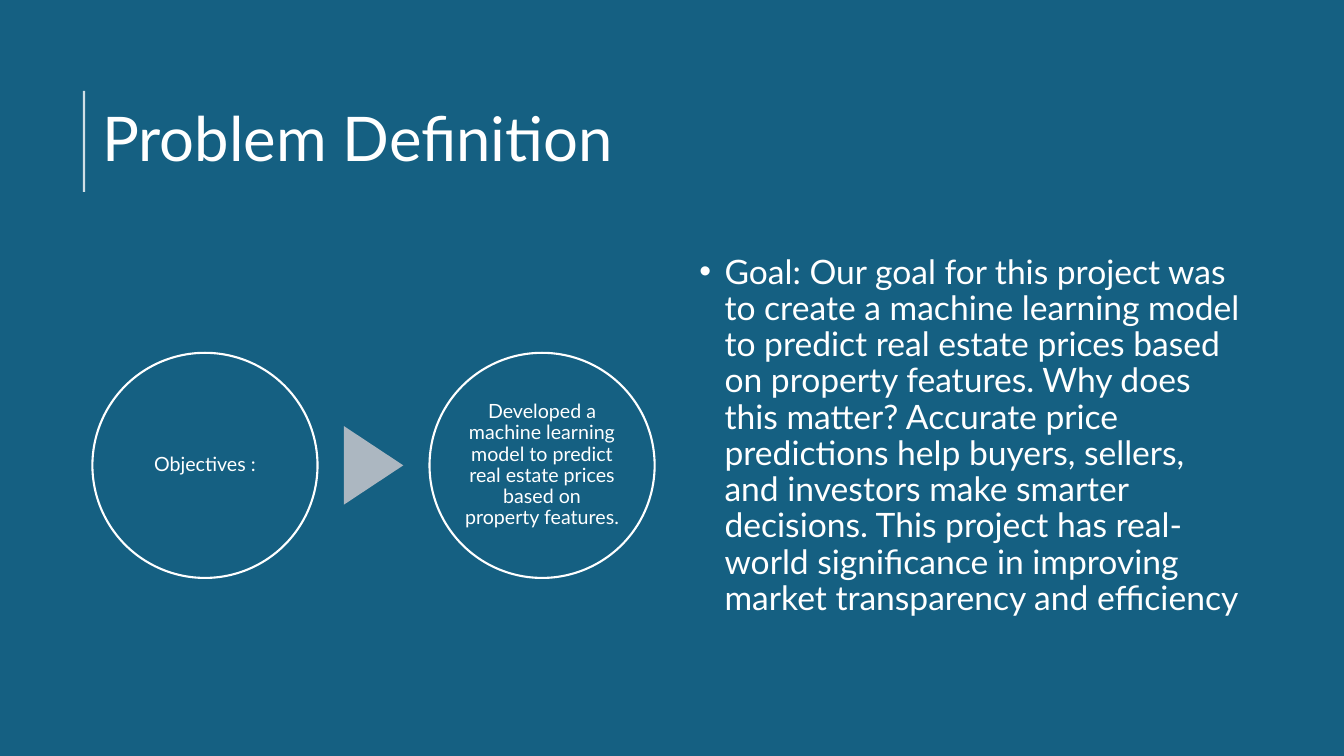
from dataclasses import dataclass

from lxml.etree import SubElement
from pptx import Presentation
from pptx.dml.color import RGBColor
from pptx.enum.shapes import MSO_CONNECTOR as Connector, MSO_SHAPE as Preset
from pptx.enum.text import MSO_ANCHOR as Anchor, PP_ALIGN as Align
from pptx.oxml.ns import qn
from pptx.shapes.autoshape import Shape
from pptx.slide import Slide
from pptx.text.text import _Paragraph as Paragraph
from pptx.util import Pt


@dataclass(frozen=True)
class Theme:
    backdrop: str = "0E2841"
    panel: str = "156082"
    arrow: str = "ACB7C1"
    light: str = "FFFFFF"
    font: str = "Lato"
    title_size: float = 44
    body_size: float = 24
    step_size: float = 14
    line_width: float = 1.5
    line_spacing: float = 0.9


@dataclass(frozen=True)
class Area:
    left: float
    top: float
    width: float
    height: float

    def lengths(self) -> tuple[Pt, Pt, Pt, Pt]:
        return Pt(self.left), Pt(self.top), Pt(self.width), Pt(self.height)

    def inset(self, margin: float) -> "Area":
        return Area(self.left + margin, self.top + margin,
                    self.width - 2 * margin, self.height - 2 * margin)


@dataclass(frozen=True)
class TextBlock:
    text: str
    area: Area
    size: float
    anchor: Anchor = Anchor.MIDDLE
    align: Align = Align.LEFT
    margins: tuple[float, float] = (7.2, 3.6)
    before: float = 0
    after: float = 0


THEME = Theme()
SLIDE = Area(0, 0, 960, 540)
STEP_LEFT, STEP_TOP, STEP_SIZE, STEP_PITCH = 66, 252, 160.8, 240.8
STEP_INSET = 23.5
ARROW_WIDTH, ARROW_HEIGHT = 56.2, 42.5
STEPS = (
    "Objectives :",
    "Developed a machine learning model to predict real estate prices "
    "based on property features.",
)
GOAL = (
    "Goal: Our goal for this project was to create a machine learning model "
    "to predict real estate prices based on property features. "
    "Why does this matter? Accurate price predictions help buyers, sellers, "
    "and investors make smarter decisions. This project has real-world "
    "significance in improving market transparency and efficiency"
)


def color(value: str) -> RGBColor:
    return RGBColor.from_string(value)


def add_figure(page: Slide, preset: Preset, area: Area, fill: str,
               outlined: bool = False) -> Shape:
    shape = page.shapes.add_shape(preset, *area.lengths())
    shape.shadow.inherit = False
    shape.fill.solid()
    shape.fill.fore_color.rgb = color(fill)
    if outlined:
        shape.line.color.rgb = color(THEME.light)
        shape.line.width = Pt(THEME.line_width)
    else:
        shape.line.fill.background()
    return shape


def add_text(page: Slide, block: TextBlock) -> Paragraph:
    box = page.shapes.add_textbox(*block.area.lengths())
    frame = box.text_frame
    frame.word_wrap = True
    frame.vertical_anchor = block.anchor
    side, edge = block.margins
    frame.margin_left = frame.margin_right = Pt(side)
    frame.margin_top = frame.margin_bottom = Pt(edge)
    para = frame.paragraphs[0]
    para.alignment = block.align
    para.line_spacing = THEME.line_spacing
    para.space_before = Pt(block.before)
    para.space_after = Pt(block.after)
    span = para.add_run()
    span.text = block.text
    span.font.name = THEME.font
    span.font.size = Pt(block.size)
    span.font.color.rgb = color(THEME.light)
    return para


def add_bullet(para: Paragraph, indent: float) -> None:
    properties = para._p.get_or_add_pPr()
    properties.set("marL", str(Pt(indent)))
    properties.set("indent", str(-Pt(indent)))
    SubElement(properties, qn("a:buFont")).set("typeface", "Arial")
    SubElement(properties, qn("a:buChar")).set("char", "•")


def add_title_rule(page: Slide) -> None:
    rule = page.shapes.add_connector(
        Connector.STRAIGHT, Pt(60), Pt(137), Pt(60), Pt(65))
    rule.line.color.rgb = color(THEME.light)
    rule.line.width = Pt(THEME.line_width)
    properties = rule._element.spPr
    tint = properties.find(".//" + qn("a:srgbClr"))
    SubElement(tint, qn("a:alpha")).set("val", "80000")
    SubElement(properties, qn("a:effectLst"))


def add_step(page: Slide, index: int, text: str) -> None:
    circle = Area(STEP_LEFT + index * STEP_PITCH, STEP_TOP,
                  STEP_SIZE, STEP_SIZE)
    add_figure(page, Preset.OVAL, circle, THEME.panel, outlined=True)
    add_text(page, TextBlock(
        text, circle.inset(STEP_INSET), THEME.step_size, align=Align.CENTER,
        margins=(1.4, 1.4), after=4.9))


def add_arrow(page: Slide) -> None:
    center_x = STEP_LEFT + (STEP_SIZE + STEP_PITCH) / 2
    center_y = STEP_TOP + STEP_SIZE / 2
    area = Area(center_x - ARROW_WIDTH / 2, center_y - ARROW_HEIGHT / 2,
                ARROW_WIDTH, ARROW_HEIGHT)
    arrow = add_figure(page, Preset.ISOSCELES_TRIANGLE, area, THEME.arrow)
    arrow.rotation = 90


def main() -> None:
    deck = Presentation()
    deck.slide_width, deck.slide_height = Pt(SLIDE.width), Pt(SLIDE.height)
    page = deck.slides.add_slide(deck.slide_layouts[6])
    page.background.fill.solid()
    page.background.fill.fore_color.rgb = color(THEME.backdrop)
    add_figure(page, Preset.RECTANGLE, SLIDE, THEME.panel)
    add_text(page, TextBlock(
        "Problem Definition", Area(66, 49, 828, 104.4), THEME.title_size))
    add_title_rule(page)
    for index, text in enumerate(STEPS):
        add_step(page, index, text)
    add_arrow(page)
    goal = add_text(page, TextBlock(
        GOAL, Area(492.5, 178.6, 401.5, 308), THEME.body_size,
        anchor=Anchor.TOP, before=10))
    add_bullet(goal, 18)
    deck.save("out.pptx")


if __name__ == "__main__":
    main()
